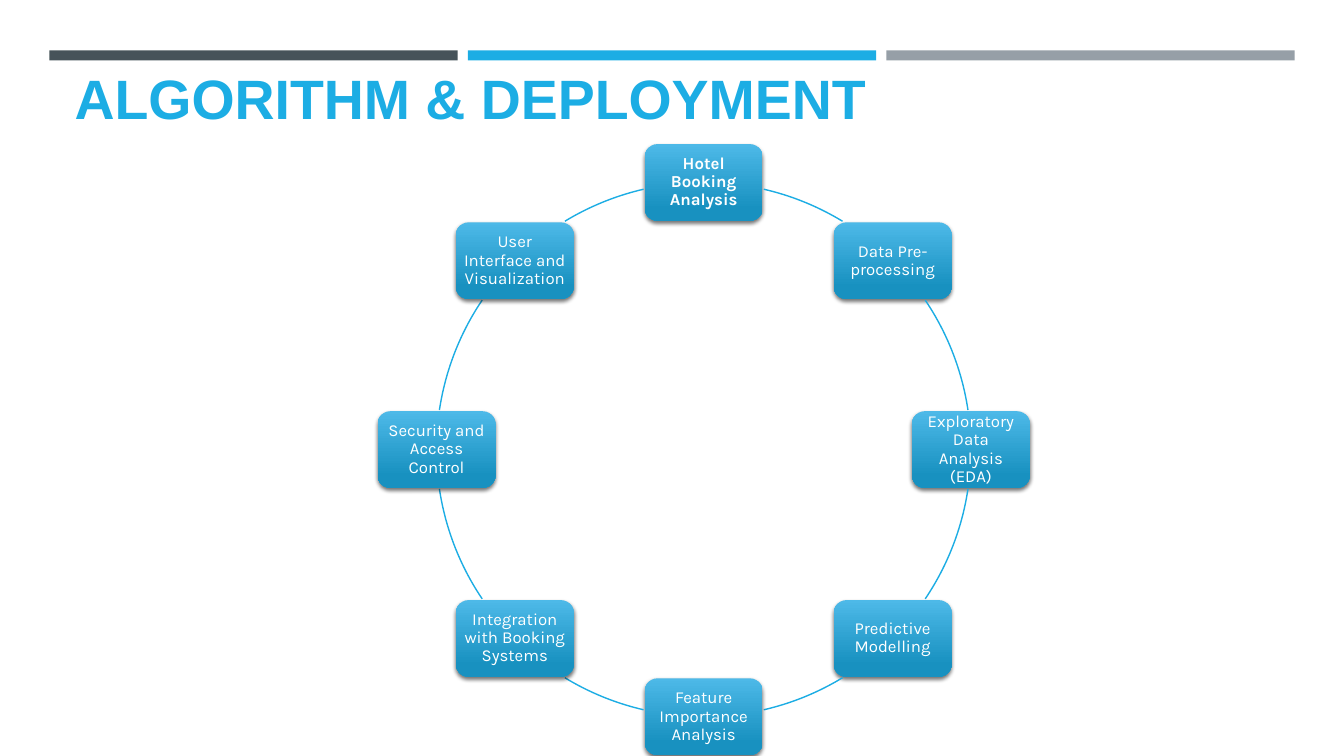
from itertools import count
from math import cos, radians, sin

from lxml.etree import SubElement
from pptx import Presentation
from pptx.dml.color import RGBColor
from pptx.enum.shapes import MSO_SHAPE
from pptx.enum.text import MSO_ANCHOR, MSO_AUTO_SIZE, PP_ALIGN
from pptx.oxml.ns import qn
from pptx.util import Inches, Pt

SLATE = RGBColor(0x46, 0x53, 0x59)
BLUE = RGBColor(0x1C, 0xAD, 0xE4)
GREY = RGBColor(0x96, 0x9F, 0xA7)
LIGHT_BLUE = RGBColor(0x4D, 0xB9, 0xE8)
DEEP_BLUE = RGBColor(0x18, 0x91, 0xC0)
WHITE = RGBColor(0xFF, 0xFF, 0xFF)

SLIDE_WIDTH, SLIDE_HEIGHT = 13.33, 7.5
CARD_WIDTH, CARD_HEIGHT = 1.17, 0.76
STEPS = [
    "Hotel Booking Analysis",
    "Data Pre-processing",
    "Exploratory Data Analysis (EDA)",
    "Predictive Modelling",
    "Feature Importance Analysis",
    "Integration with Booking Systems",
    "Security and Access Control",
    "User Interface and Visualization",
]


def add_box(slide, preset, left, top, width, height):
    shape = slide.shapes.add_shape(
        preset, Inches(left), Inches(top), Inches(width), Inches(height))
    shape.shadow.inherit = False
    return shape


def set_text(shape, text, frame_format, align, font_format, color):
    frame = shape.text_frame
    frame.text = text
    for name, value in frame_format.items():
        setattr(frame, name, value)
    paragraph = frame.paragraphs[0]
    paragraph.alignment = align
    paragraph.line_spacing = 0.9
    font = paragraph.runs[0].font
    for name, value in font_format.items():
        setattr(font, name, value)
    font.color.rgb = color


def add_top_bars(slide, left, top, width, height, gap=0.1):
    colors = (SLATE, BLUE, GREY)
    bar_width = (width - gap * (len(colors) - 1)) / len(colors)
    for column, color in enumerate(colors):
        bar = add_box(slide, MSO_SHAPE.RECTANGLE,
                      left + column * (bar_width + gap), top, bar_width, height)
        bar.fill.solid()
        bar.fill.fore_color.rgb = color
        bar.line.fill.background()


def add_title(slide, left, top, width, height):
    title = slide.shapes.title
    title.left, title.top = Inches(left), Inches(top)
    title.width, title.height = Inches(width), Inches(height)
    set_text(title, "ALGORITHM & DEPLOYMENT",
             {"vertical_anchor": MSO_ANCHOR.BOTTOM, "word_wrap": True,
              "auto_size": MSO_AUTO_SIZE.NONE},
             PP_ALIGN.LEFT, {"name": "Arial", "size": Pt(39.6), "bold": True}, BLUE)


def add_card(slide, center_x, center_y, text, bold):
    card = add_box(slide, MSO_SHAPE.ROUNDED_RECTANGLE, center_x - CARD_WIDTH / 2,
                   center_y - CARD_HEIGHT / 2, CARD_WIDTH, CARD_HEIGHT)
    card.line.fill.background()
    card.fill.gradient()
    card.fill.gradient_angle = 270
    stops = ((0, LIGHT_BLUE), (0.84, DEEP_BLUE))
    for stop, (position, color) in zip(card.fill.gradient_stops, stops):
        stop.position = position
        stop.color.rgb = color
    add_drop_shadow(card)
    # The rounded corners already inset the text, so small margins suffice.
    margins = {f"margin_{side}": Inches(0.04)
               for side in ("left", "top", "right", "bottom")}
    set_text(card, text,
             {"vertical_anchor": MSO_ANCHOR.MIDDLE, "word_wrap": True, **margins},
             PP_ALIGN.CENTER, {"name": "Karla", "size": Pt(12), "bold": bold}, WHITE)


def add_drop_shadow(shape):
    effects = shape.element.spPr.find(qn("a:effectLst"))
    shadow = SubElement(effects, qn("a:outerShdw"), blurRad=str(Pt(3)),
                        dist=str(Pt(2)), dir="5400000", rotWithShape="0")
    color = SubElement(shadow, qn("a:srgbClr"), val="000000")
    SubElement(color, qn("a:alpha"), val="55000")


def point_on_circle(radius, degrees):
    return radius * cos(radians(degrees)), radius * sin(radians(degrees))


def card_exit(radius, degrees, direction):
    """Return the angle at which the circle leaves the card centred at degrees."""
    card_x, card_y = point_on_circle(radius, degrees)
    for tenth in count():
        angle = degrees + direction * tenth / 10
        x, y = point_on_circle(radius, angle)
        if (abs(x - card_x) > CARD_WIDTH / 2 + 0.01
                or abs(y - card_y) > CARD_HEIGHT / 2 + 0.01):
            return angle


def add_arc(slide, left, top, size, start, end):
    arc = add_box(slide, MSO_SHAPE.ARC, left, top, size, size)
    arc.fill.background()
    arc.line.color.rgb = BLUE
    arc.line.width = Pt(1)
    for index, angle in enumerate((start, end)):
        # Adjustments count 100,000ths; an arc counts 60,000 to a degree.
        arc.adjustments[index] = angle % 360 * 0.6


def add_cycle(slide, left, top, size):
    radius = size / 2
    turn = 360 / len(STEPS)
    for index, text in enumerate(STEPS):
        degrees = index * turn - 90
        x, y = point_on_circle(radius, degrees)
        add_card(slide, left + radius + x, top + radius + y, text, bold=index == 0)
        add_arc(slide, left, top, size, card_exit(radius, degrees, 1),
                card_exit(radius, degrees + turn, -1))


def main():
    presentation = Presentation()
    presentation.slide_width = Inches(SLIDE_WIDTH)
    presentation.slide_height = Inches(SLIDE_HEIGHT)
    slide = presentation.slides.add_slide(presentation.slide_layouts.get_by_name("Title Only"))
    add_top_bars(slide, 0.49, 0.5, 12.35, 0.1)
    add_title(slide, 0.64, 0.77, 12.06, 0.58)
    add_cycle(slide, 4.33, 1.81, 5.3)
    presentation.save("out.pptx")


if __name__ == "__main__":
    main()
